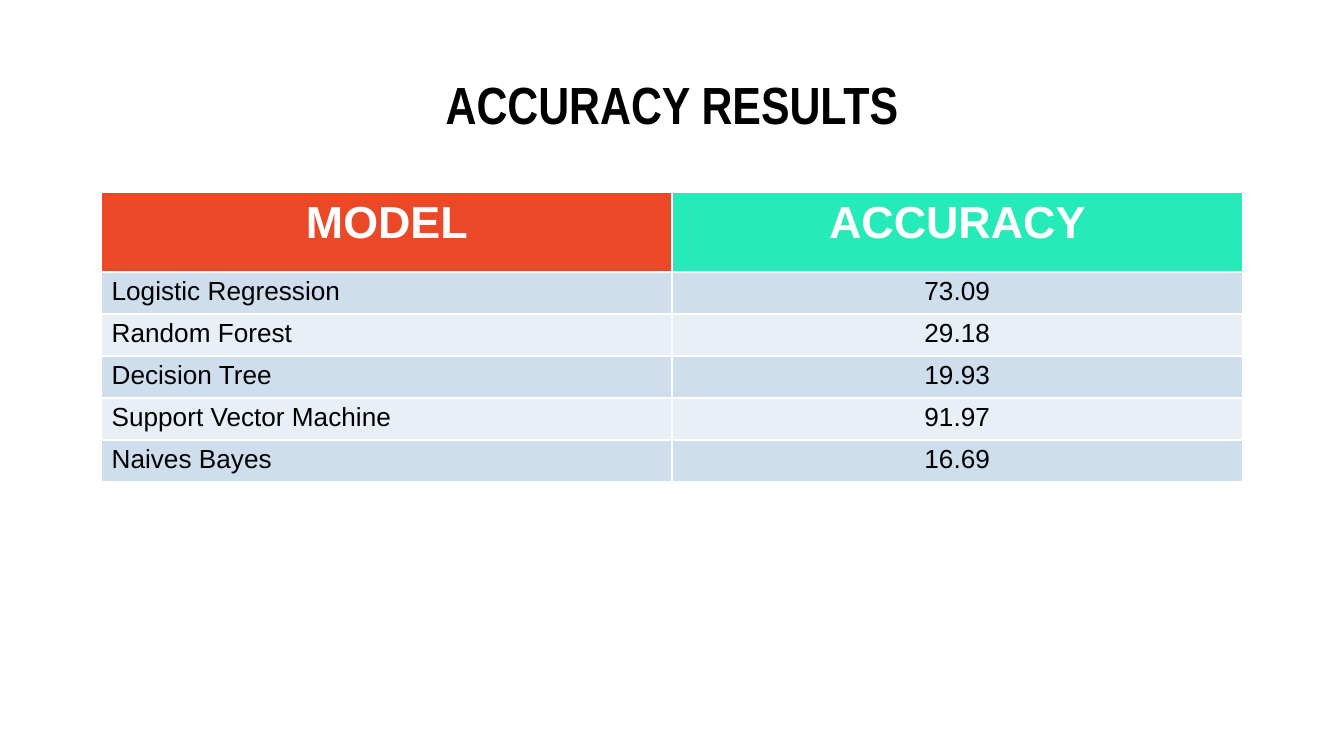
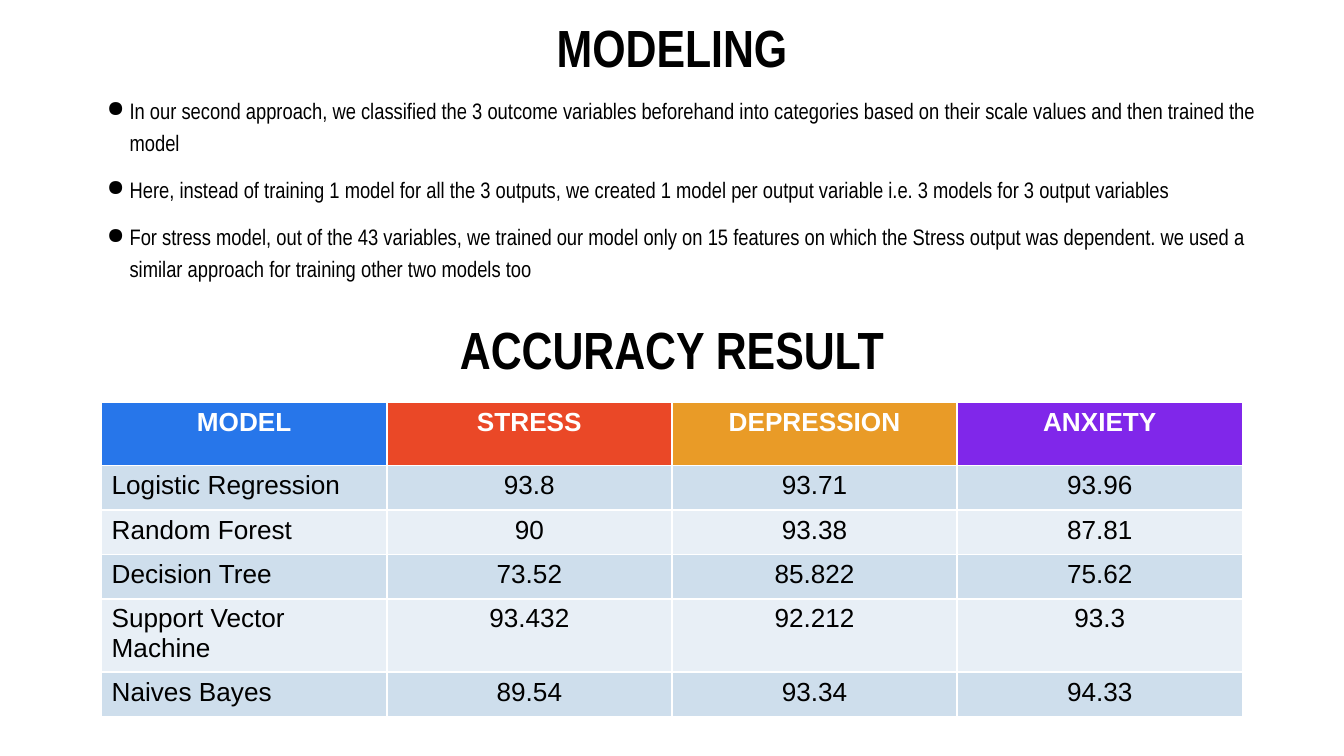
from pptx import Presentation
from pptx.dml.color import RGBColor
from pptx.enum.text import MSO_ANCHOR, PP_ALIGN
from pptx.oxml import parse_xml
from pptx.oxml.ns import nsdecls
from pptx.util import Cm, Pt

LEFT, WIDTH = 1.92, 21.56
BLACK, WHITE, RED = "000000", "FFFFFF", "EA4827"
BANDS = ["CEDEEC", "E8EFF6"]
MODELS = ["Logistic Regression", "Random Forest", "Decision Tree",
          "Support Vector Machine", "Naives Bayes"]


def rgb(value):
    return RGBColor.from_string(value)


def add_text(s, box, paragraphs, size, bold, spacing):
    tf = s.shapes.add_textbox(*map(Cm, box)).text_frame
    tf.word_wrap = True
    tf.margin_left = tf.margin_right = Cm(0.19)
    tf.margin_top = tf.margin_bottom = Cm(0.1)
    for i, text in enumerate(paragraphs):
        p = tf.paragraphs[0] if i == 0 else tf.add_paragraph()
        p.text = text
        p.line_spacing = spacing
        p.font.name = "Arial Narrow"
        p.font.size = Pt(size)
        p.font.bold = bold
        p.font.color.rgb = rgb(BLACK)
    return tf


accuracy = [["73.09"], ["29.18"], ["19.93"], ["91.97"], ["16.69"]]
by_outcome = [
    ["93.8", "93.71", "93.96"],
    ["90", "93.38", "87.81"],
    ["73.52", "85.822", "75.62"],
    ["93.432", "92.212", "93.3"],
    ["89.54", "93.34", "94.33"],
]
bullets = [
    "In our second approach, we classified the 3 outcome variables beforehand into "
    "categories based on their scale values and then trained the model",
    "Here, instead of training 1 model for all the 3 outputs, we created 1 model per "
    "output variable i.e. 3 models for 3 output variables",
    "For stress model, out of the 43 variables, we trained our model only on 15 features "
    "on which the Stress output was dependent. we used a similar approach for training "
    "other two models too",
]
slides = [
    dict(titles=[("ACCURACY RESULTS", 0.64)], bullets=[],
         headers=[("MODEL", RED), ("ACCURACY", "26EAB8")], values=accuracy,
         top=3.64, header_height=1.5, row_height=0.77, header_size=24),
    dict(titles=[("MODELING", -0.43), ("ACCURACY RESULT", 5.28)], bullets=bullets,
         headers=[("MODEL", "2776EA"), ("STRESS", RED),
                  ("DEPRESSION", "E99B27"), ("ANXIETY", "8027EA")], values=by_outcome,
         top=7.6, header_height=1.2, row_height=0.84, header_size=14),
]

prs = Presentation()
prs.slide_width, prs.slide_height = Cm(25.4), Cm(14.29)

for content in slides:
    s = prs.slides.add_slide(prs.slide_layouts[6])
    s.background.fill.solid()
    s.background.fill.fore_color.rgb = rgb(WHITE)

    for title, top in content["titles"]:
        tf = add_text(s, (LEFT, top, WIDTH, 2.77), [title], 28, True, 0.9)
        tf.vertical_anchor = MSO_ANCHOR.MIDDLE
        tf.paragraphs[0].alignment = PP_ALIGN.CENTER

    if content["bullets"]:
        tf = add_text(s, (1.78, 1.63, 22.76, 7.7), content["bullets"], 12, False, 1.2)
        for p in tf.paragraphs:
            pPr = p._p.get_or_add_pPr()
            pPr.set("marL", str(Cm(0.48)))
            pPr.set("indent", str(Cm(-0.43)))
            p.space_before = Pt(8)
            bullet = parse_xml(f'<a:buChar {nsdecls("a")} char="●"/>')
            pPr.find("{*}defRPr").addprevious(bullet)
        tf.paragraphs[0].space_before = Pt(0)
        tf.paragraphs[-1].space_after = Pt(12)

    headers = content["headers"]
    rows = [[name for name, fill in headers]]
    rows += [[model] + values for model, values in zip(MODELS, content["values"])]
    heights = [content["header_height"]] + [content["row_height"]] * len(MODELS)
    table = s.shapes.add_table(len(rows), len(headers), Cm(LEFT), Cm(content["top"]),
                               Cm(WIDTH), Cm(sum(heights))).table
    for column in table.columns:
        column.width = Cm(WIDTH / len(headers))
    for i, row in enumerate(rows):
        table.rows[i].height = Cm(heights[i])
        for j, text in enumerate(row):
            is_header = i == 0
            cell = table.cell(i, j)
            cell.margin_left = cell.margin_right = Cm(0.19)
            cell.margin_top = cell.margin_bottom = Cm(0.1)
            cell.fill.solid()
            cell.fill.fore_color.rgb = rgb(headers[j][1] if is_header else BANDS[(i - 1) % 2])
            cell.text = text
            p = cell.text_frame.paragraphs[0]
            p.alignment = PP_ALIGN.CENTER if is_header or j else PP_ALIGN.LEFT
            p.font.name = "Arial"
            p.font.size = Pt(content["header_size"] if is_header else 14)
            p.font.bold = is_header
            p.font.color.rgb = rgb(WHITE if is_header else BLACK)

prs.save("out.pptx")
